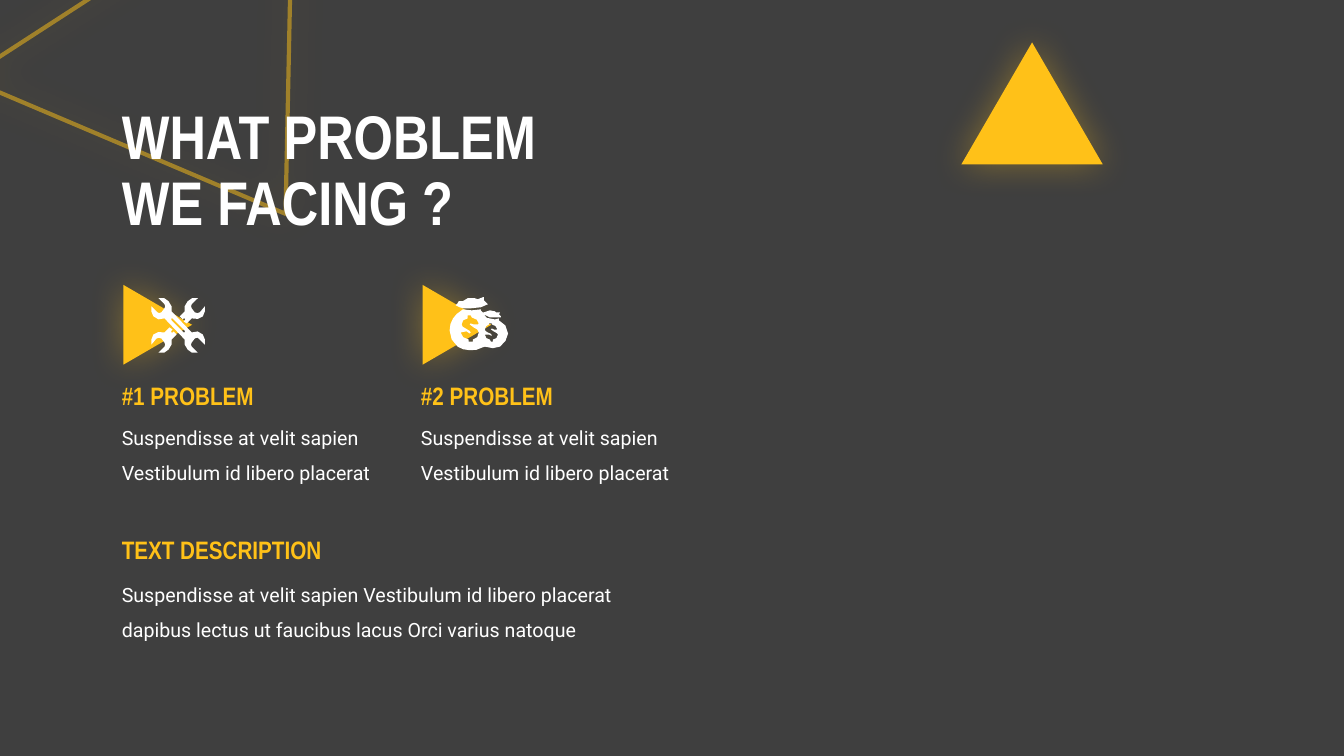
from lxml import etree
from pptx import Presentation
from pptx.dml.color import RGBColor
from pptx.enum import shapes, text
from pptx.oxml.ns import qn
from pptx.util import Cm, Pt

# Content
TITLE_LINES = ["WHAT PROBLEM", "WE FACING ?"]
PROBLEMS = ["#1 PROBLEM", "#2 PROBLEM"]
PROBLEM_TEXT = "Suspendisse at velit sapien Vestibulum id libero placerat"
DESCRIPTION = ("TEXT DESCRIPTION",
               "Suspendisse at velit sapien Vestibulum id libero placerat "
               "dapibus lectus ut faucibus lacus Orci varius natoque")

# Wrench outlines, each one half of a shape with point symmetry
WRENCH_CENTRE = (27.5, 28)
WRENCH_HEAD = [
    (32, 22), (33, 21), (34, 21), (34.5, 22), (34, 23), (33, 24), (36, 26),
    (41, 21), (47, 21.5), (52, 19), (54, 14), (54, 9), (49, 15), (46.5, 15.8),
    (44, 15), (41, 11), (40.3, 9), (41, 7), (47, 1), (41.3, 1), (37, 4),
    (34, 9), (34, 14), (29, 19)]
LONG_WRENCH_HALF = [
    (52, 37), (47, 34), (41, 35), (21, 14), (21, 9), (18, 4), (13.8, 1),
    (8, 1), (14, 7), (14.8, 9), (14, 11), (11, 15), (8.6, 15.8), (7, 15),
    (1, 9), (0.9, 14)]
SLOT_HALF = [(34, 35), (33, 35), (21, 23), (20.7, 22)]

# Money bag outlines
BAGS = [
    (49, 23), (49, 21), (45, 22), (37, 20.5), (34, 17), (40, 20), (51, 20),
    (51, 19), (49, 17), (50, 15), (46, 15), (45, 14), (40, 13), (37, 14),
    (34, 15), (33, 15), (31, 13), (31, 12), (22, 13), (13, 12), (12, 13),
    (7.2, 16.5), (3.4, 21), (0.9, 26.6), (0, 33), (2.1, 41.8), (8, 49),
    (13.5, 51.6), (20, 52.5), (26.5, 52.2), (32, 50), (35, 49), (42.9, 50.5),
    (50, 49), (55.5, 43.3), (58, 36), (55.4, 28)]
BIG_DOLLAR = [
    (23, 42), (23, 44), (19, 44), (19, 42), (13.5, 39.6), (11, 35), (16, 34),
    (17, 34), (20, 36), (21, 35), (20, 33.4), (16, 31), (13, 29.2), (12, 27),
    (13.5, 22.9), (18, 21), (18, 18), (21, 18), (22, 20), (27, 22.3), (29, 26),
    (28, 27), (24, 27), (21, 26), (20, 27), (24, 30), (27.6, 32.1), (29, 35),
    (27.5, 39.6)]
SMALL_DOLLAR = [
    (43, 42), (43, 44), (41, 44), (40, 42), (36.5, 40.5), (35, 37), (39, 37),
    (41, 38), (42, 38), (41, 36.3), (38, 35), (35.8, 33.6), (35, 32),
    (36.3, 28.8), (39, 27), (39, 26), (42, 26), (42, 27), (45.5, 28.5),
    (47, 31), (47, 32), (44, 32), (42, 31), (41, 32), (44, 34), (46.9, 35.6),
    (48, 37), (46.5, 40.5)]
BAG_NECK = [
    (14, 11), (21, 11), (31, 10), (38, 7), (36, 5), (34, 3), (34, 0), (33, 0),
    (28, 2), (25, 1), (18, 1), (13, 4), (9, 4), (8, 6), (6, 8), (10, 10)]

# Formats
DARK = RGBColor(0x3F, 0x3F, 0x3F)
GOLD = RGBColor(0xFF, 0xC1, 0x18)
WHITE = RGBColor(0xFF, 0xFF, 0xFF)
TITLE_FONT = {"name": "Arial Narrow", "size": Pt(44), "bold": True, "color": WHITE}
HEAD_FONT = {"name": "Arial Narrow", "size": Pt(18), "bold": True, "color": GOLD}
BODY_FONT = {"name": "Roboto", "size": Pt(14), "bold": False, "color": WHITE}

# Layout in centimetres
LEFT, COLUMN_STEP = 2.82, 7.54
ICON_TOP = 7.49
ICON_UNIT = Cm(0.0254)


def format_font(font, formats):
    for key, value in formats.items():
        if key == "color":
            font.color.rgb = value
        else:
            setattr(font, key, value)


def add_text(s, words, box, formats, spacing=1.0):
    tf = s.shapes.add_textbox(*map(Cm, box)).text_frame
    tf.word_wrap = True
    tf.auto_size = text.MSO_AUTO_SIZE.SHAPE_TO_FIT_TEXT
    p = tf.paragraphs[0]
    p.line_spacing = spacing
    r = p.add_run()
    r.text = words
    format_font(r.font, formats)


def add_alpha(color, percent):
    etree.SubElement(color, qn("a:alpha"), val=str(percent * 1000))


def add_triangle(s, box, rotation=0, outlined=False):
    sp = s.shapes.add_shape(shapes.MSO_SHAPE.ISOSCELES_TRIANGLE, *map(Cm, box))
    sp.rotation = rotation
    if outlined:
        sp.fill.background()
        sp.line.color.rgb = GOLD
        sp.line.width = Pt(3)
        add_alpha(sp.line._get_or_add_ln().find(".//" + qn("a:srgbClr")), 50)
    else:
        sp.fill.solid()
        sp.fill.fore_color.rgb = GOLD
        sp.line.fill.background()
    # Soft glow around the triangle
    sp.shadow.inherit = False
    effects = sp.element.spPr.find(qn("a:effectLst"))
    glow = etree.SubElement(effects, qn("a:outerShdw"), blurRad=str(Pt(25)),
                            dist="0", dir="0", algn="ctr", rotWithShape="0")
    add_alpha(etree.SubElement(glow, qn("a:srgbClr"), val=str(GOLD)), 35)
    return sp


def turned(points):
    cx, cy = WRENCH_CENTRE
    return [(2 * cx - x, 2 * cy - y) for x, y in points]


def add_icon(s, left, pieces):
    group = s.shapes.add_group_shape()
    for contours in pieces:
        scaled = [[(x * ICON_UNIT, y * ICON_UNIT) for x, y in c] for c in contours]
        builder = group.shapes.build_freeform(*scaled[0][0])
        for i, points in enumerate(scaled):
            if i:
                builder.move_to(*points[0])
            builder.add_line_segments(points[1:], close=True)
        sp = builder.convert_to_shape(Cm(left), Cm(ICON_TOP))
        sp.fill.solid()
        sp.fill.fore_color.rgb = WHITE
        sp.line.fill.background()
        sp.shadow.inherit = False


def main():
    prs = Presentation()
    prs.slide_width, prs.slide_height = Cm(33.87), Cm(19.05)
    s = prs.slides.add_slide(prs.slide_layouts[5])
    s.background.fill.solid()
    s.background.fill.fore_color.rgb = DARK

    # Title
    title = s.shapes.title
    title.left, title.top, title.width, title.height = map(Cm, (LEFT, 2.34, 14.27, 4.01))
    tf = title.text_frame
    tf.auto_size = text.MSO_AUTO_SIZE.NONE
    tf.vertical_anchor = text.MSO_ANCHOR.MIDDLE
    p = tf.paragraphs[0]
    p.alignment = text.PP_ALIGN.LEFT
    p.line_spacing = 0.9
    for i, line in enumerate(TITLE_LINES):
        if i:
            p.add_line_break()
        r = p.add_run()
        r.text = line
        format_font(r.font, TITLE_FONT)

    # Decorative triangles, the outlined one behind the title
    outline = add_triangle(s, (0.33, -1.27, 9.8, 7.24), 147.1, outlined=True)
    title.element.addprevious(outline.element)
    add_triangle(s, (24.23, 1.07, 3.56, 3.07))

    # Problem columns
    wrenches = [[WRENCH_HEAD], [turned(WRENCH_HEAD)],
                [LONG_WRENCH_HALF + turned(LONG_WRENCH_HALF),
                 SLOT_HALF + turned(SLOT_HALF)]]
    money_bags = [[BAGS, BIG_DOLLAR, SMALL_DOLLAR], [BAG_NECK]]
    for i, (heading, icon) in enumerate(zip(PROBLEMS, (wrenches, money_bags))):
        x = LEFT + i * COLUMN_STEP
        add_triangle(s, (x + 0.15, 7.32, 2.01, 1.73), 90)
        add_icon(s, x + 0.97, icon)
        add_text(s, PROBLEM_TEXT, (x, 10.31, 6.83, 1.96), BODY_FONT, 1.5)
        add_text(s, heading, (x, 9.45, 5.61, 1.02), HEAD_FONT)

    # Description
    heading, body = DESCRIPTION
    add_text(s, body, (LEFT, 14.27, 13.03, 1.96), BODY_FONT, 1.5)
    add_text(s, heading, (LEFT, 13.34, 6.22, 1.02), HEAD_FONT)

    prs.save("out.pptx")


if __name__ == "__main__":
    main()
